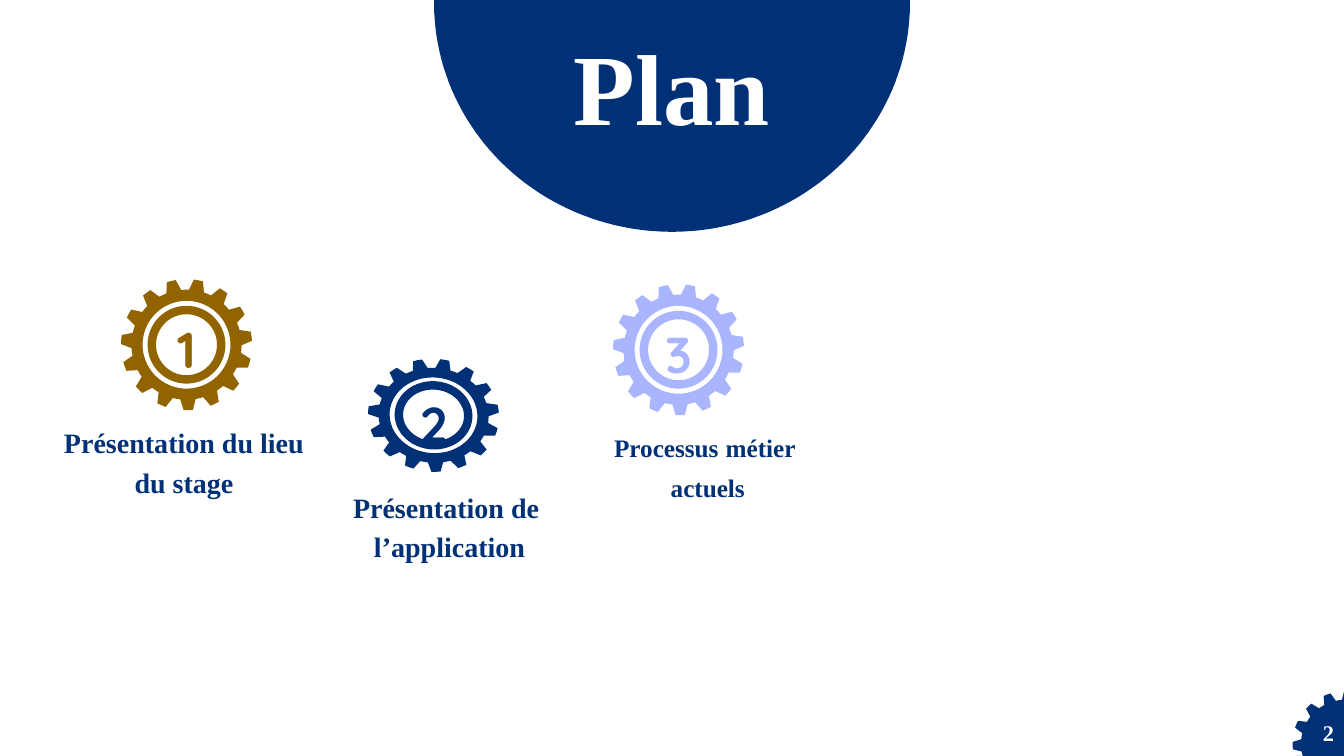
from math import cos, radians, sin

from lxml import etree
from pptx import Presentation
from pptx.dml.color import RGBColor
from pptx.enum.shapes import MSO_SHAPE
from pptx.enum.text import MSO_ANCHOR, MSO_AUTO_SIZE, PP_ALIGN
from pptx.util import Inches, Pt

OVAL = MSO_SHAPE.OVAL
TOP, MIDDLE = MSO_ANCHOR.TOP, MSO_ANCHOR.MIDDLE
CENTER = PP_ALIGN.CENTER
GROW = MSO_AUTO_SIZE.SHAPE_TO_FIT_TEXT

# Content
TITLE = "Plan"
PAGE = "2"
COLORS = {"navy": "003076", "gold": "916400", "lilac": "A9B5FF",
          "white": "FFFFFF", "black": "000000"}
SERIF, ROUNDED = "Times New Roman", "Quicksand"

# A run is (text, size, colour, bold)
STEPS = [
    {"number": "1", "color": "gold", "gear": (1.2, 2.77, 1.3), "label": (0, 4.17, 3.72),
     "lines": [[("Présentation du lieu ", 20, "navy", True)],
               [("du stage ", 20, "navy", True)]]},
    {"number": "2", "color": "navy", "gear": (3.65, 3.56, 1.12), "label": (2.68, 4.81, 3.49),
     "lines": [[("Présentation de", 20, "navy", True)],
               [(" l’application", 20, "navy", True)]]},
    {"number": "3", "color": "lilac", "gear": (6.08, 2.82, 1.3), "label": (5.62, 4.21, 2.8),
     "lines": [[("Processus", 18, "navy", True), (" ", 20, "black", False),
                ("métier ", 18, "navy", True)],
               [("actuels", 18, "navy", True)]]},
]

# Geometry, in inches and degrees
WIDTH, HEIGHT = 13.33, 7.5
ARCH_RX, ARCH_RY, ARCH_Y = 2.36, 2.27, 0.03
TEETH, TOOTH_HALF, FIRST_TOOTH = 15, 4, 12
ROOT_SHARE, HOLE_SHARE, RING_SHARE = 0.84, 0.67, 0.53
GEAR_W, GEAR_TILT = 1.3, 4.5
LABEL_H, NUMBER_W = 0.75, 1.21
UNITS = 1000  # freeform units per inch

prs = Presentation()
prs.slide_width, prs.slide_height = Inches(WIDTH), Inches(HEIGHT)
slide = prs.slides.add_slide(prs.slide_layouts[5])
shapes = slide.shapes


def rgb(name):
    return RGBColor.from_string(COLORS[name])


def arc(cx, cy, rx, ry, angles):
    return [(cx + rx * cos(radians(a)), cy + ry * sin(radians(a))) for a in angles]


def gear_outline(cx, cy, rx, ry, first=FIRST_TOOTH):
    """Each tooth is a tip edge followed by a root edge, half a pitch later."""
    pitch = 360 / TEETH
    points = []
    for tooth in range(TEETH):
        for share, shift in ((1, 0), (ROOT_SHARE, pitch / 2)):
            middle = first + tooth * pitch + shift
            points += arc(cx, cy, rx * share, ry * share,
                          (middle - TOOTH_HALF, middle, middle + TOOTH_HALF))
    return points


def outline(contours, color):
    scaled = [[(round(x * UNITS), round(y * UNITS)) for x, y in c] for c in contours]
    builder = shapes.build_freeform(*scaled[0][0], scale=Inches(1) / UNITS)
    for i, contour in enumerate(scaled):
        if i:
            builder.move_to(*contour[0])
        builder.add_line_segments(contour[1:], close=True)
    shape = builder.convert_to_shape()
    shape.shadow.inherit = False
    shape.fill.solid()
    shape.fill.fore_color.rgb = rgb(color)
    shape.line.fill.background()
    return shape


def place(shape, left, top, width, height):
    shape.left, shape.top = Inches(left), Inches(top)
    shape.width, shape.height = Inches(width), Inches(height)


def write(shape, lines, font, spacing=None, anchor=TOP):
    frame = shape.text_frame
    frame.vertical_anchor = anchor
    frame.word_wrap = spacing is not None
    if spacing:
        frame.auto_size = GROW
        frame.margin_left = frame.margin_right = frame.margin_top = frame.margin_bottom = 0
    for i, line in enumerate(lines):
        paragraph = frame.add_paragraph() if i else frame.paragraphs[0]
        paragraph.alignment = CENTER
        if spacing:
            paragraph.line_spacing = Pt(spacing)
        for text, size, color, bold in line:
            run = paragraph.add_run()
            run.text = text
            run.font.name, run.font.size, run.font.bold = font, Pt(size), bold
            run.font.color.rgb = rgb(color)


def text_box(left, top, width, height, lines, font, **options):
    box = shapes.add_textbox(Inches(left), Inches(top), Inches(width), Inches(height))
    write(box, lines, font, **options)


# Title on its half-disc, which goes behind the placeholder
arch = outline([[(WIDTH / 2 + ARCH_RX, 0)]
                + arc(WIDTH / 2, ARCH_Y, ARCH_RX, ARCH_RY, range(0, 181, 2))
                + [(WIDTH / 2 - ARCH_RX, 0)]], "navy")
title = shapes.title
title._element.addprevious(arch._element)
place(title, 4.82, 0.78, 3.69, 0.74)
write(title, [[(TITLE, 72, "white", True)]], SERIF, spacing=48.1)

# Numbered gears with their labels
for step in STEPS:
    left, top, gear_h = step["gear"]
    cx, cy = left + GEAR_W / 2, top + gear_h / 2
    rx, ry = GEAR_W / 2, gear_h / 2
    hole = arc(cx, cy, rx * HOLE_SHARE, ry * HOLE_SHARE, range(360, 0, -5))
    gear = outline([gear_outline(cx, cy, rx, ry), hole], step["color"])
    gear.rotation = GEAR_TILT

    ring_w, ring_h = GEAR_W * RING_SHARE, gear_h * RING_SHARE
    ring = shapes.add_shape(OVAL, Inches(cx - ring_w / 2), Inches(cy - ring_h / 2),
                            Inches(ring_w), Inches(ring_h))
    ring.shadow.inherit = False
    ring.fill.background()
    ring.line.color.rgb, ring.line.width = rgb(step["color"]), Pt(6)
    ring.rotation = GEAR_TILT

    text_box(cx - NUMBER_W / 2, top + gear_h * 0.245, NUMBER_W, gear_h * 0.515,
             [[(step["number"], 36, step["color"], True)]], ROUNDED, spacing=48.1)
    text_box(*step["label"], LABEL_H, step["lines"], SERIF, spacing=28)

# Page number on a gear cut off by the slide's corner
corner = gear_outline(13.34, 7.38, 0.52, 0.52, first=10)
outline([[(min(x, WIDTH), min(y, HEIGHT)) for x, y in corner]], "navy")
text_box(13.02, 7.13, 0.31, 0.27, [[(PAGE, 16, "white", True)]], SERIF, anchor=MIDDLE)

prs.save("out.pptx")
